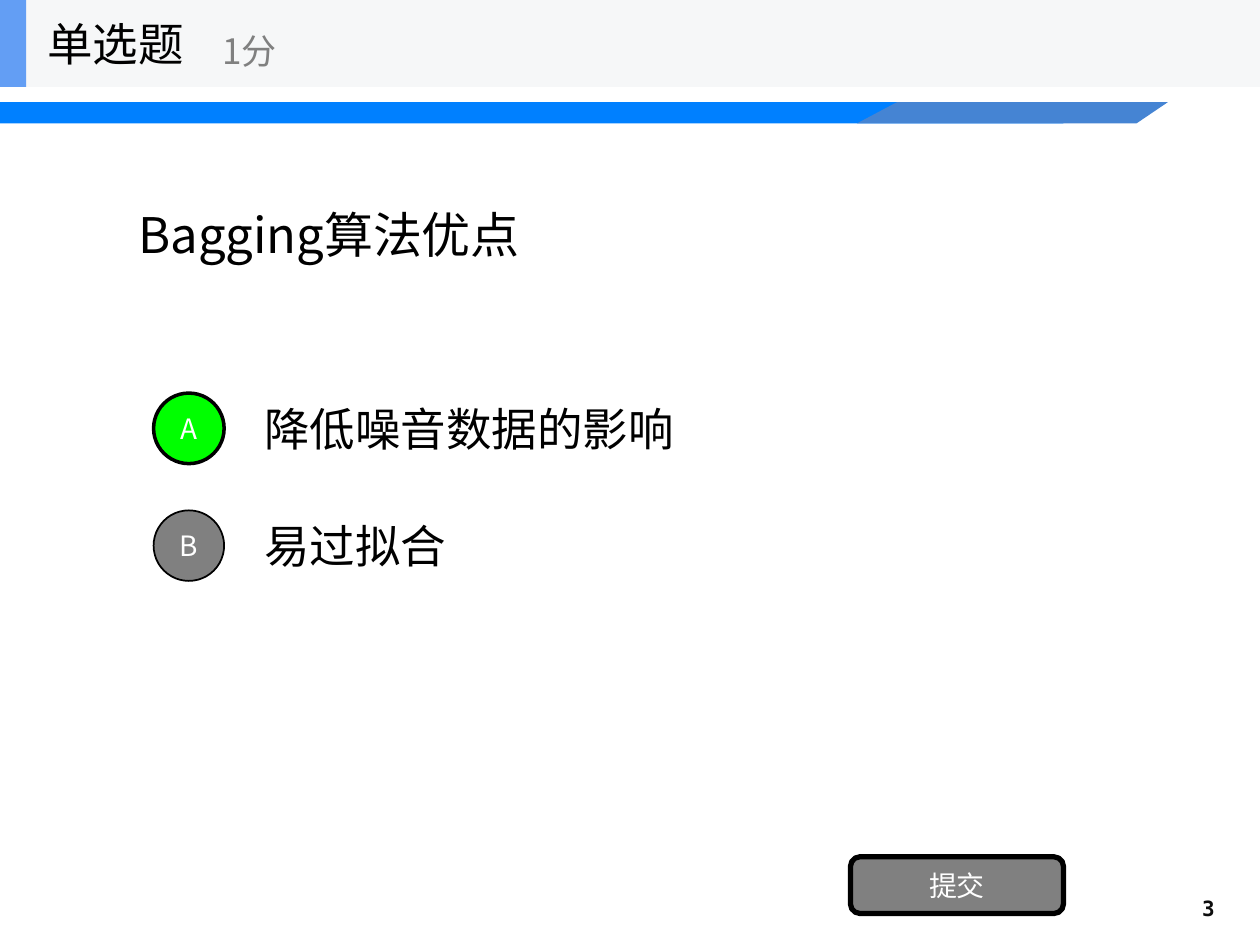
import dataclasses
import typing

import lxml.etree
import pptx
import pptx.dml.color
import pptx.enum.shapes
import pptx.enum.text
import pptx.oxml.ns
import pptx.util

Pt = pptx.util.Pt
Shape = pptx.enum.shapes.MSO_SHAPE
Align = pptx.enum.text.PP_ALIGN

CJK_FONT = "Noto Sans CJK SC"
MONO_FONT = "DejaVu Sans Mono"
COLORS = {
    "black": "000000",
    "white": "FFFFFF",
    "gray": "808080",
    "number": "0D0D0D",
    "green": "00FF00",
    "header": "F6F7F8",
    "accent": "639EF4",
    "stripe": "0080FF",
    "stripe_end": "4584D3",
}


@dataclasses.dataclass
class Area:
    left: float
    top: float
    width: float
    height: float

    def lengths(self) -> list:
        return [Pt(value) for value in (self.left, self.top, self.width, self.height)]


@dataclasses.dataclass
class TextStyle:
    size: float
    color: str = "black"
    font: str = CJK_FONT
    bold: bool = False
    align: typing.Any = Align.LEFT


@dataclasses.dataclass
class Option:
    letter: str
    answer: str
    fill: str
    line_width: float


def rgb(name: str) -> pptx.dml.color.RGBColor:
    return pptx.dml.color.RGBColor.from_string(COLORS[name])


def write(shape: typing.Any, text: str, style: TextStyle) -> None:
    frame = shape.text_frame
    frame.word_wrap = True
    frame.vertical_anchor = pptx.enum.text.MSO_ANCHOR.MIDDLE
    para = frame.paragraphs[0]
    para.alignment = style.align
    run = para.add_run()
    run.text = text
    run.font.size = Pt(style.size)
    run.font.bold = style.bold
    run.font.color.rgb = rgb(style.color)
    run.font.name = style.font
    # East Asian characters take their font from a:ea
    east_asian = lxml.etree.SubElement(run.font._element, pptx.oxml.ns.qn("a:ea"))
    east_asian.set("typeface", style.font)


def add_text(slide: typing.Any, area: Area, text: str, style: TextStyle) -> None:
    write(slide.shapes.add_textbox(*area.lengths()), text, style)


def paint(shape: typing.Any, fill: str, line_width: float = 0) -> None:
    shape.shadow.inherit = False
    shape.fill.solid()
    shape.fill.fore_color.rgb = rgb(fill)
    if line_width:
        shape.line.color.rgb = rgb("black")
        shape.line.width = Pt(line_width)
    else:
        shape.line.fill.background()


def add_block(slide: typing.Any, kind: typing.Any, area: Area, fill: str,
              line_width: float = 0) -> typing.Any:
    shape = slide.shapes.add_shape(kind, *area.lengths())
    paint(shape, fill, line_width)
    return shape


def add_stripe(slide: typing.Any) -> None:
    top, bottom = 58.4, 70.6
    add_block(slide, Shape.RECTANGLE, Area(0, top, 607.7, bottom - top), "stripe")
    corners = [(649.4, bottom), (667.4, top), (512.6, top)]
    builder = slide.shapes.build_freeform(Pt(489.6), Pt(bottom))
    builder.add_line_segments([(Pt(x), Pt(y)) for x, y in corners], close=True)
    paint(builder.convert_to_shape(), "stripe_end")


def add_header(slide: typing.Any) -> None:
    height = 49.7
    add_block(slide, Shape.RECTANGLE, Area(0, 0, 720, height), "header")
    add_block(slide, Shape.RECTANGLE, Area(0, 0, 15, height), "accent")
    add_text(slide, Area(20, 0, 150, height), "单选题", TextStyle(26))
    add_text(slide, Area(120, 8.8, 180, 40.3), "1分", TextStyle(20, "gray"))


def add_options(slide: typing.Any, options: list[Option], label: TextStyle) -> None:
    first_middle, pitch, diameter, row_height = 244.8, 67, 40.3, 50.4
    for index, option in enumerate(options):
        middle = first_middle + index * pitch
        add_text(slide, Area(144, middle - row_height / 2, 504, row_height),
                 option.answer, TextStyle(26))
        circle = add_block(slide, Shape.OVAL,
                           Area(87.8, middle - diameter / 2, diameter, diameter),
                           option.fill, option.line_width)
        write(circle, option.letter, label)


def main() -> None:
    deck = pptx.Presentation()
    deck.slide_width, deck.slide_height = Pt(720), Pt(540)
    slide = deck.slides.add_slide(deck.slide_layouts[6])
    label = TextStyle(16, "white", align=Align.CENTER)

    # Stripe and page number
    add_stripe(slide)
    add_text(slide, Area(656.6, 504.7, 44.6, 28.8), "3",
             TextStyle(12, "number", MONO_FONT, True, Align.RIGHT))

    # Question and its options
    add_text(slide, Area(72, 49.7, 576, 168.5), "Bagging算法优点", TextStyle(28))
    add_options(slide, [
        Option("A", "降低噪音数据的影响", "green", 2),
        Option("B", "易过拟合", "gray", 1),
    ], label)

    # Submit button
    button = add_block(slide, Shape.ROUNDED_RECTANGLE,
                       Area(486, 489.6, 121.7, 32.4), "gray", 3)
    write(button, "提交", label)

    # Header bar
    add_header(slide)
    deck.save("out.pptx")


if __name__ == "__main__":
    main()
